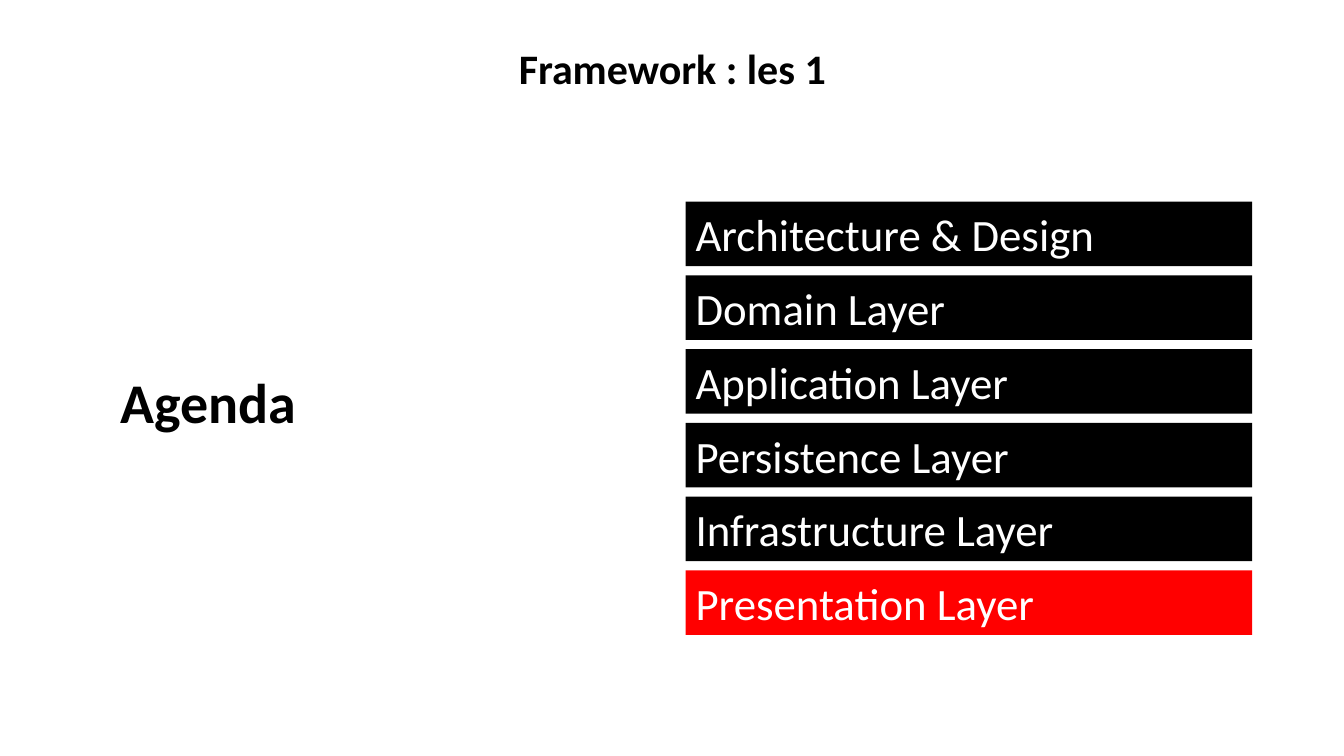
import pptx
import pptx.util
import pptx.dml.color
import pptx.enum.shapes
import pptx.enum.text

Inches = pptx.util.Inches
Pt = pptx.util.Pt

FONT = "Calibri"
COLORS = {"text": "000000", "bar": "000000", "current": "FF0000", "bar_text": "FFFFFF"}

# text, left, top, width, height, size
HEADINGS = [
    ("Framework : les 1", 0.92, 0.4, 11.5, 0.61, 30),
    ("Agenda", 0.92, 3.67, 2.3, 0.7, 40),
]
TOPICS = [
    "Architecture & Design",
    "Domain Layer",
    "Application Layer",
    "Persistence Layer",
    "Infrastructure Layer",
    "Presentation Layer",
]
CURRENT_TOPIC = "Presentation Layer"

BAR_LEFT, BAR_WIDTH, BAR_HEIGHT = 6.8, 5.62, 0.64
FIRST_BAR_TOP, LAST_BAR_TOP = 2.0, 5.66
BAR_STEP = (LAST_BAR_TOP - FIRST_BAR_TOP) / (len(TOPICS) - 1)


def rgb(name):
    """Return the named colour."""
    return pptx.dml.color.RGBColor.from_string(COLORS[name])


def set_text(shape, text, size, color, alignment, bold=False):
    """Write one vertically centred line of text in a shape."""
    text_frame = shape.text_frame
    text_frame.text = text
    text_frame.word_wrap = True
    text_frame.vertical_anchor = pptx.enum.text.MSO_ANCHOR.MIDDLE
    paragraph = text_frame.paragraphs[0]
    paragraph.alignment = alignment
    font = paragraph.runs[0].font
    font.name = FONT
    font.size = Pt(size)
    font.bold = bold
    font.color.rgb = rgb(color)


def add_heading(slide, text, left, top, width, height, size):
    """Add a bold centred heading."""
    box = slide.shapes.add_textbox(Inches(left), Inches(top), Inches(width), Inches(height))
    set_text(box, text, size, "text", pptx.enum.text.PP_ALIGN.CENTER, bold=True)
    box.text_frame.paragraphs[0].line_spacing = 0.9


def add_topic(slide, text, top):
    """Add one agenda bar, highlighted when it is the current topic."""
    bar = slide.shapes.add_shape(
        pptx.enum.shapes.MSO_SHAPE.RECTANGLE,
        Inches(BAR_LEFT), Inches(top), Inches(BAR_WIDTH), Inches(BAR_HEIGHT))
    bar.shadow.inherit = False
    bar.fill.solid()
    bar.fill.fore_color.rgb = rgb("current" if text == CURRENT_TOPIC else "bar")
    bar.line.fill.background()
    set_text(bar, text, 32, "bar_text", pptx.enum.text.PP_ALIGN.LEFT)


presentation = pptx.Presentation()
presentation.slide_width = Inches(13.33)
presentation.slide_height = Inches(7.5)
slide = presentation.slides.add_slide(presentation.slide_layouts[6])

for heading in HEADINGS:
    add_heading(slide, *heading)
for index, topic in enumerate(TOPICS):
    add_topic(slide, topic, FIRST_BAR_TOP + index * BAR_STEP)

presentation.save("out.pptx")
